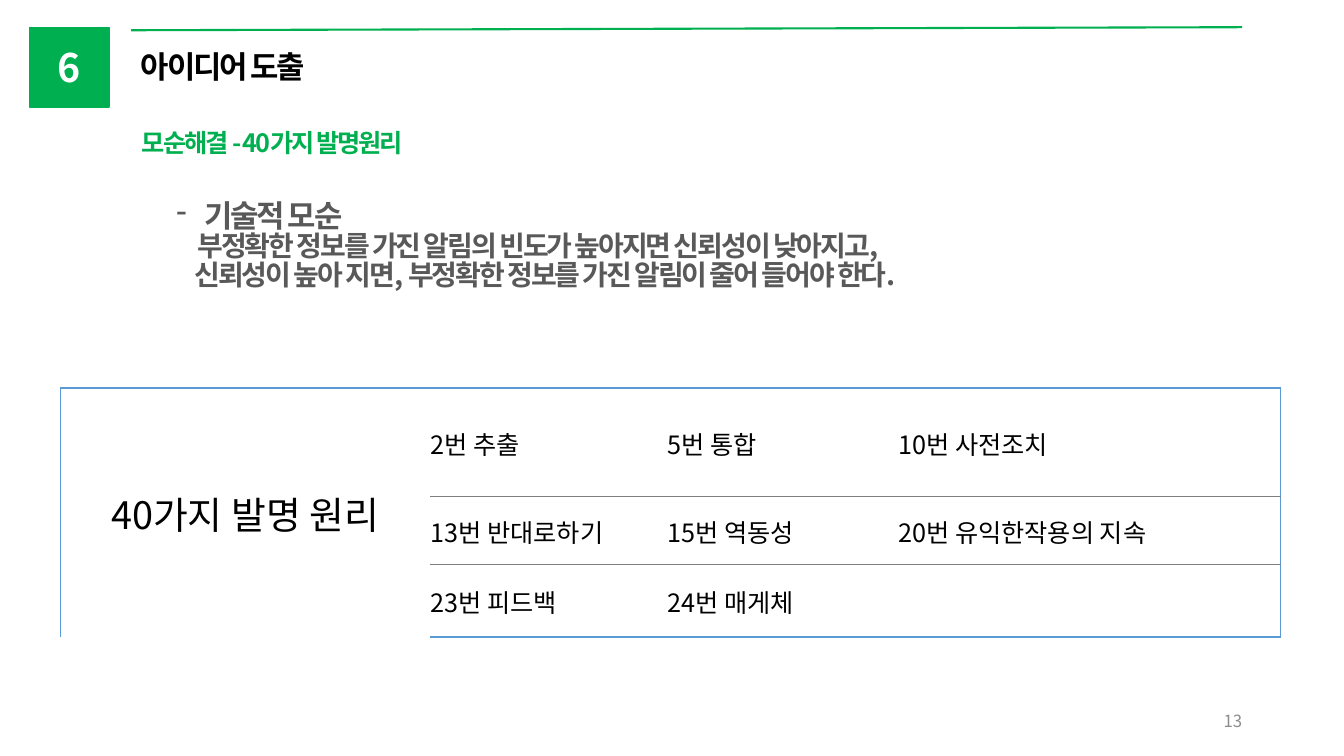
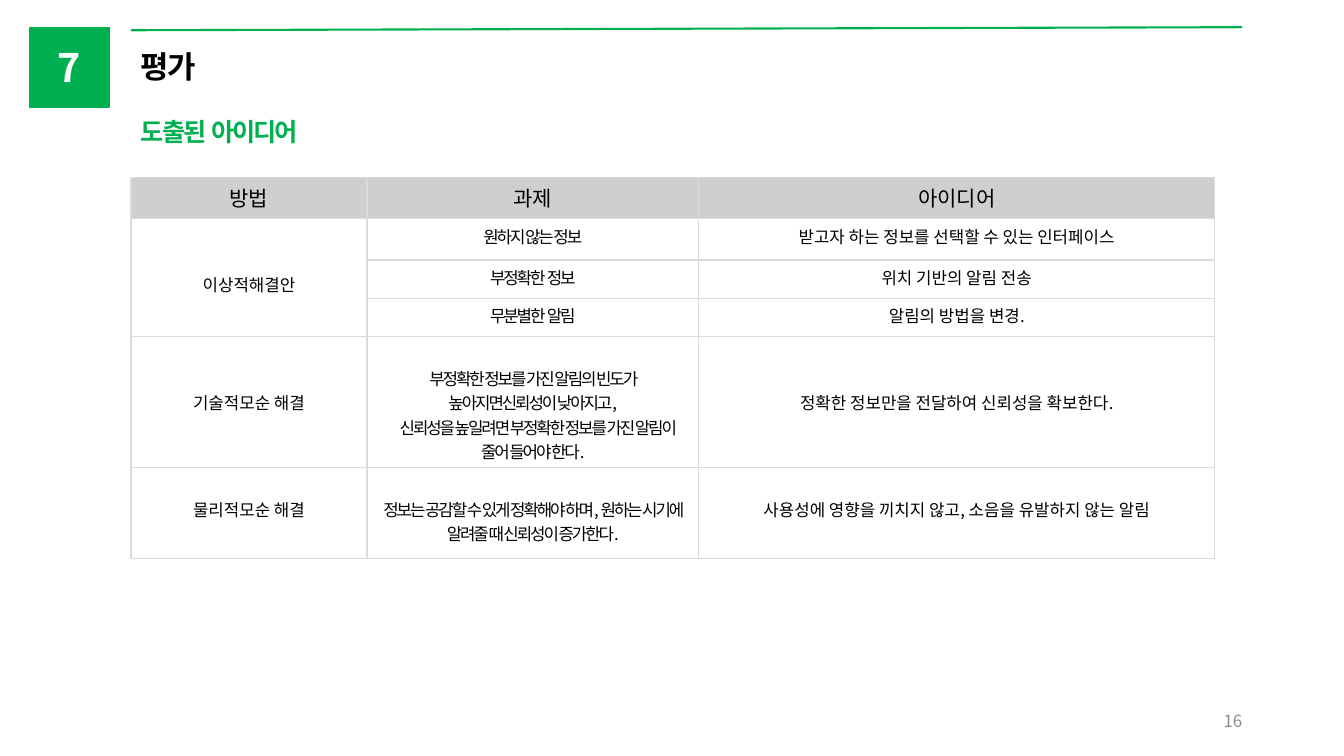
import pptx
import pptx.dml.color
import pptx.enum.shapes
import pptx.enum.text
import pptx.oxml
import pptx.oxml.ns
import pptx.util
from pptx.util import Inches

FONT = "Noto Sans CJK KR"
GREEN, BLACK, WHITE, DARK, PALE = "00B050", "000000", "FFFFFF", "595959", "8C8C8C"
BLUE, RULE, GRID, HEADER = "5B9BD5", "7F7F7F", "DBDBDB", "D0CECE"
TIGHT = -1.5
LINE_SPACING = 0.85
TEXT_LINE = 0.24
ALIGN = pptx.enum.text.PP_ALIGN
ANCHOR = pptx.enum.text.MSO_ANCHOR

CONTRADICTION = [
    ("기술적 모순", 22, 0.28, "-"),
    ("부정확한 정보를 가진 알림의 빈도가 높아지면 신뢰성이 낮아지고,", 20, 0.21, None),
    ("신뢰성이 높아 지면, 부정확한 정보를 가진 알림이 줄어 들어야 한다.", 20, 0.18, None),
]

PRINCIPLES_TITLE = "40가지 발명 원리"
PRINCIPLES = [
    ["2번 추출", "5번 통합", "10번 사전조치"],
    ["13번 반대로하기", "15번 역동성", "20번 유익한작용의 지속"],
    ["23번 피드백", "24번 매게체", ""],
]
PRINCIPLE_COLUMNS = [3.66, 2.35, 2.29, 3.8]
PRINCIPLE_ROWS = [1.08, 0.67, 0.72]

IDEA_HEADERS = ["방법", "과제", "아이디어"]
IDEAS = [
    (["이상적해결안"], ["원하지 않는 정보"], ["받고자 하는 정보를 선택할 수 있는 인터페이스"]),
    ([], ["부정확한  정보"], ["위치 기반의 알림 전송"]),
    ([], ["무분별한  알림"], ["알림의 방법을 변경."]),
    (["기술적모순 해결"],
     ["부정확한 정보를 가진 알림의 빈도가 높아지면신뢰성이 낮아지고,",
      "신뢰성을 높일려면 부정확한 정보를 가진 알림이 줄어 들어야 한다."],
     ["정확한 정보만을 전달하여 신뢰성을 확보한다."]),
    (["물리적모순 해결"],
     ["정보는 공감할 수 있게 정확해야 하며, 원하는 시기에 알려줄 때 신뢰성이 증가한다."],
     ["사용성에 영향을 끼치지 않고, 소음을 유발하지 않는 알림"]),
]
LINES_ABOVE = [(2, 0, 0), (0, 0, 0), (0, 0, 0), (2, 1, 2), (1, 1, 1)]
IDEA_COLUMNS = [2.34, 3.29, 5.12]
IDEA_ROWS = [0.41, 0.41, 0.38, 0.38, 1.3, 0.9]


def color(value):
    return pptx.dml.color.RGBColor.from_string(value)


def element(parent, tag, **attributes):
    child = pptx.oxml.ns.qn(tag)
    node = parent.makeelement(child, attributes)
    parent.append(node)
    return node


def add_run(paragraph, text, size, fill, bold=False, spacing=0):
    run = paragraph.add_run()
    run.text = text
    run.font.size = pptx.util.Pt(size)
    run.font.bold = bold
    run.font.name = FONT
    run.font.color.rgb = color(fill)
    properties = run.font._element
    element(properties, "a:ea", typeface=FONT)
    if spacing:
        properties.set("spc", str(int(spacing * 100)))


def indent(paragraph, left, first=0):
    properties = paragraph._p.get_or_add_pPr()
    properties.set("marL", str(Inches(left)))
    properties.set("indent", str(Inches(first)))
    return properties


def add_text_box(slide, left, top, width, height, anchor=ANCHOR.TOP):
    frame = slide.shapes.add_textbox(
        Inches(left), Inches(top), Inches(width), Inches(height)).text_frame
    frame.word_wrap = True
    frame.vertical_anchor = anchor
    return frame


def add_heading(slide, text, size, fill, left, top, width, height):
    paragraph = add_text_box(slide, left, top, width, height).paragraphs[0]
    paragraph.line_spacing = LINE_SPACING
    add_run(paragraph, text, size, fill, True, TIGHT)


def add_base(presentation, number, title, subtitle, subtitle_at, page):
    slide = presentation.slides.add_slide(presentation.slide_layouts[6])
    paragraph = add_text_box(slide, 9.42, 6.95, 3, 0.4, ANCHOR.MIDDLE).paragraphs[0]
    paragraph.alignment = ALIGN.RIGHT
    add_run(paragraph, page, 12, PALE)

    top_line = slide.shapes.add_connector(
        pptx.enum.shapes.MSO_CONNECTOR.STRAIGHT,
        Inches(1.3), Inches(0.3), Inches(12.32), Inches(0.27))
    top_line.line.color.rgb = color(GREEN)
    top_line.line.width = pptx.util.Pt(1.5)
    element(top_line._element.spPr, "a:effectLst")

    badge = slide.shapes.add_shape(
        pptx.enum.shapes.MSO_SHAPE.RECTANGLE,
        Inches(0.29), Inches(0.27), Inches(0.79), Inches(0.79))
    badge.shadow.inherit = False
    badge.fill.solid()
    badge.fill.fore_color.rgb = color(GREEN)
    badge.line.color.rgb = color(GREEN)
    badge.line.width = pptx.util.Pt(1)
    badge.text_frame.vertical_anchor = ANCHOR.MIDDLE
    paragraph = badge.text_frame.paragraphs[0]
    paragraph.alignment = ALIGN.CENTER
    add_run(paragraph, number, 28, WHITE, True)

    add_heading(slide, title, 22, BLACK, 1.3, 0.48, 3.71, 0.47)
    add_heading(slide, subtitle, 18, GREEN, *subtitle_at, 8.86, 0.4)
    return slide


def add_table(slide, left, top, columns, rows):
    table = slide.shapes.add_table(
        len(rows), len(columns), Inches(left), Inches(top),
        Inches(sum(columns)), Inches(sum(rows))).table
    table.first_row = False
    table.horz_banding = False
    for column, width in zip(table.columns, columns):
        column.width = Inches(width)
    for row, height in zip(table.rows, rows):
        row.height = Inches(height)
    return table


def style_cell(cell, fill, borders):
    properties = cell._tc.get_or_add_tcPr()
    for side, value in zip("LRTB", borders):
        width = pptx.util.Pt(0.75 if value == RULE else 1)
        line = element(properties, "a:ln" + side, w=str(width))
        if value:
            element(element(line, "a:solidFill"), "a:srgbClr", val=value)
        else:
            element(line, "a:noFill")
    cell.fill.solid()
    cell.fill.fore_color.rgb = color(fill)


def add_contradiction(slide):
    frame = add_text_box(slide, 1.65, 1.96, 9.99, 1.51)
    for index, (text, size, left, bullet) in enumerate(CONTRADICTION):
        paragraph = frame.add_paragraph() if index else frame.paragraphs[0]
        paragraph.line_spacing = LINE_SPACING
        properties = indent(paragraph, left, -left if bullet else 0)
        if bullet:
            element(properties, "a:buChar", char=bullet)
        add_run(paragraph, text, size, DARK, True, TIGHT)


def add_principles(slide):
    table = add_table(slide, 0.6, 3.85, PRINCIPLE_COLUMNS, PRINCIPLE_ROWS)
    last_row, last_column = len(PRINCIPLE_ROWS) - 1, len(PRINCIPLE_COLUMNS) - 1
    for row, texts in enumerate(PRINCIPLES):
        title = "" if row else PRINCIPLES_TITLE
        for column, text in enumerate([title] + texts):
            cell = table.cell(row, column)
            inner = RULE if column else None
            style_cell(cell, WHITE, (
                None if column else BLUE,
                BLUE if column == last_column else None,
                inner if row else BLUE,
                BLUE if row == last_row else inner))
            cell.margin_left = cell.margin_right = cell.margin_top = Inches(0.01)
            cell.margin_bottom = 0
            cell.vertical_anchor = ANCHOR.MIDDLE
            paragraph = cell.text_frame.paragraphs[0]
            paragraph.alignment = ALIGN.LEFT if column else ALIGN.CENTER
            if text:
                add_run(paragraph, text, 18 if column else 27, BLACK)
    table.cell(0, 0).merge(table.cell(last_row, 0))


def add_ideas(slide):
    table = add_table(slide, 1.3, 1.76, IDEA_COLUMNS, IDEA_ROWS)
    content = [[[header] for header in IDEA_HEADERS]] + IDEAS
    for row, cells in enumerate(content):
        for column, texts in enumerate(cells):
            cell = table.cell(row, column)
            style_cell(cell, WHITE if row else HEADER, [GRID] * 4)
            above = LINES_ABOVE[row - 1][column] if row else 0
            cell.margin_top = Inches(0.05 + TEXT_LINE * above)
            frame = cell.text_frame
            for index, text in enumerate(texts):
                paragraph = frame.add_paragraph() if index else frame.paragraphs[0]
                paragraph.alignment = ALIGN.CENTER
                if index:
                    indent(paragraph, 0, 0.09)
                spacing = TIGHT if row and column == 1 else 0
                add_run(paragraph, text, 12 if row else 15, BLACK, spacing=spacing)
    table.cell(1, 0).merge(table.cell(3, 0))


def main():
    presentation = pptx.Presentation()
    presentation.slide_width = Inches(13.33)
    presentation.slide_height = Inches(7.5)

    slide = add_base(presentation, "6", "아이디어 도출",
                     "모순해결 - 40가지 발명원리", (1.31, 1.26), "13")
    add_contradiction(slide)
    add_principles(slide)

    slide = add_base(presentation, "7", "평가",
                     "도출된  아이디어", (1.3, 1.15), "16")
    add_ideas(slide)

    presentation.save("out.pptx")


if __name__ == "__main__":
    main()
